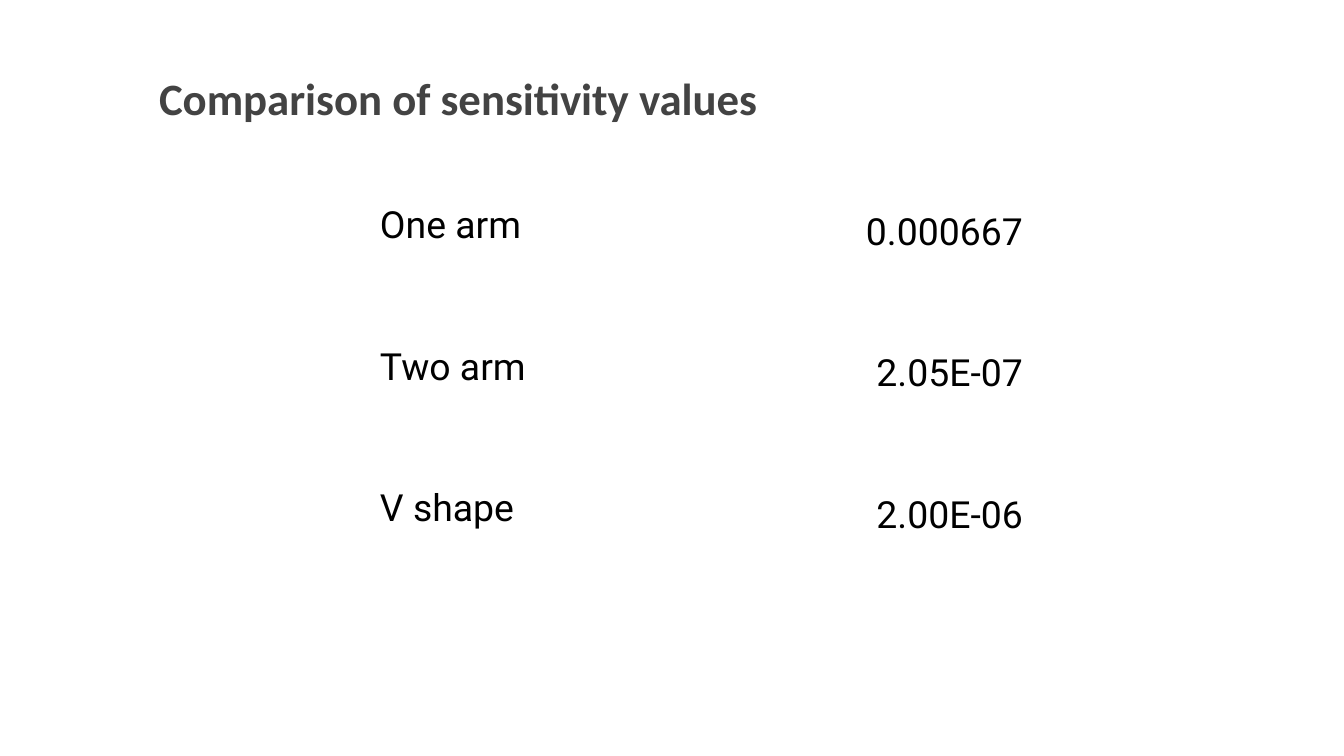
from pptx import Presentation
from pptx.dml.color import RGBColor
from pptx.enum.text import MSO_ANCHOR as Anchor, PP_ALIGN as Align
from pptx.util import Emu, Pt

EMU_PER_PX = 914400 / 134.4
INSET = 13
COLORS = {"title": "434343", "body": "000000"}
SENSITIVITIES = [
    ("One arm", "0.000667"),
    ("Two arm", "2.05E-07"),
    ("V shape", "2.00E-06"),
]


def px(length):
    return Emu(round(length * EMU_PER_PX))


def set_insets(holder):
    """Give a cell or a text frame the same margin on all sides."""
    for side in ("left", "top", "right", "bottom"):
        setattr(holder, f"margin_{side}", px(INSET))


def write(frame, text, *, font, size, color, bold=False, align=Align.LEFT, spacing=None):
    para = frame.paragraphs[0]
    para.alignment = align
    para.line_spacing = spacing
    span = para.add_run()
    span.text = text
    span.font.name = font
    span.font.size = Pt(size)
    span.font.bold = bold
    span.font.color.rgb = RGBColor.from_string(COLORS[color])


def add_title(page, text, left, top, width, height):
    frame = page.shapes.add_textbox(px(left), px(top), px(width), px(height)).text_frame
    frame.word_wrap = True
    frame.vertical_anchor = Anchor.MIDDLE
    set_insets(frame)
    write(frame, text, font="Calibri", size=24, color="title", bold=True)


def add_value_table(page, rows, left, top, width, height):
    """Add a plain table of labels and right-aligned values."""
    table = page.shapes.add_table(
        len(rows), 2, px(left), px(top), px(width), px(height)
    ).table
    table.first_row = False
    table.horz_banding = False
    column_formats = [{}, {"align": Align.RIGHT, "spacing": 1.15}]
    for row, texts in zip(table.rows, rows):
        for cell, text, column_format in zip(row.cells, texts, column_formats):
            cell.fill.background()
            set_insets(cell)
            write(cell.text_frame, text, font="Roboto", size=20, color="body",
                  **column_format)


def main():
    deck = Presentation()
    deck.slide_width, deck.slide_height = px(1344), px(756)
    page = deck.slides.add_slide(deck.slide_layouts[6])
    add_title(page, "Comparison of sensitivity values", 146, 62, 1063, 71)
    add_value_table(page, SENSITIVITIES, 367, 191, 669, 425)
    deck.save("out.pptx")


if __name__ == "__main__":
    main()
